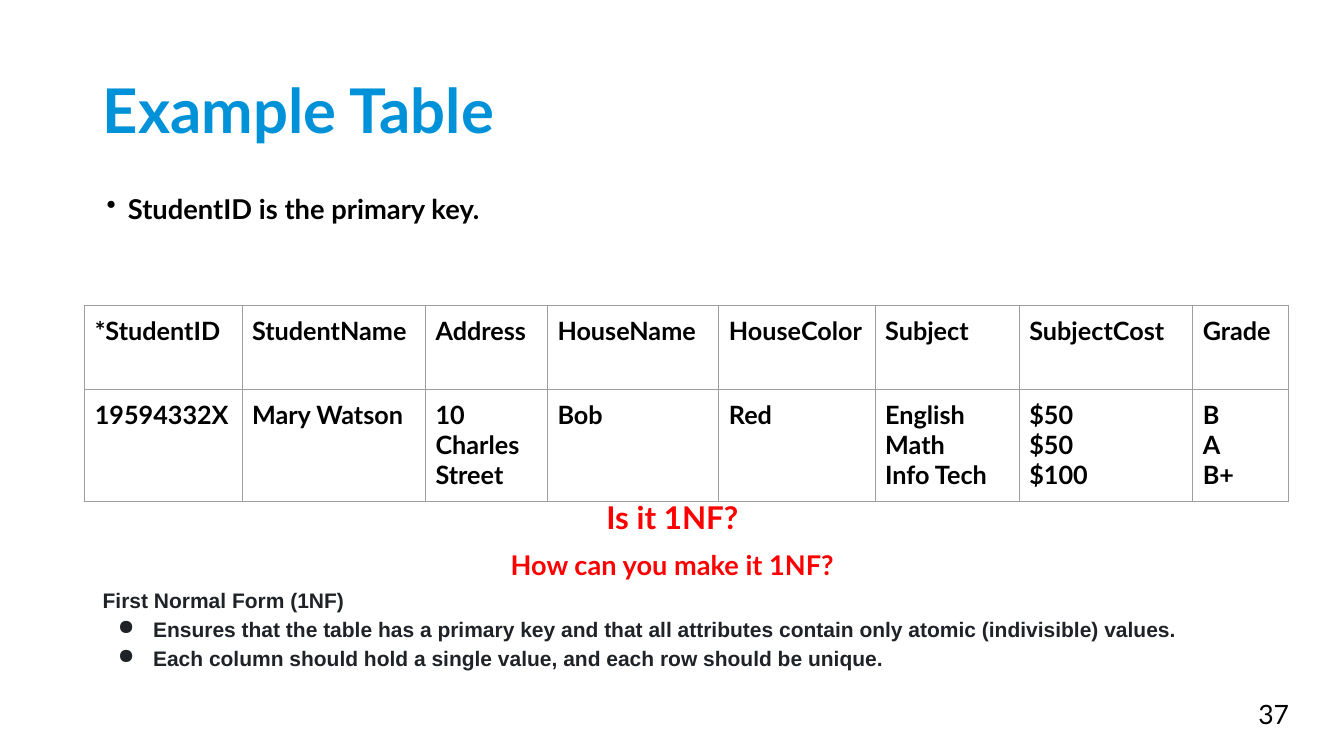
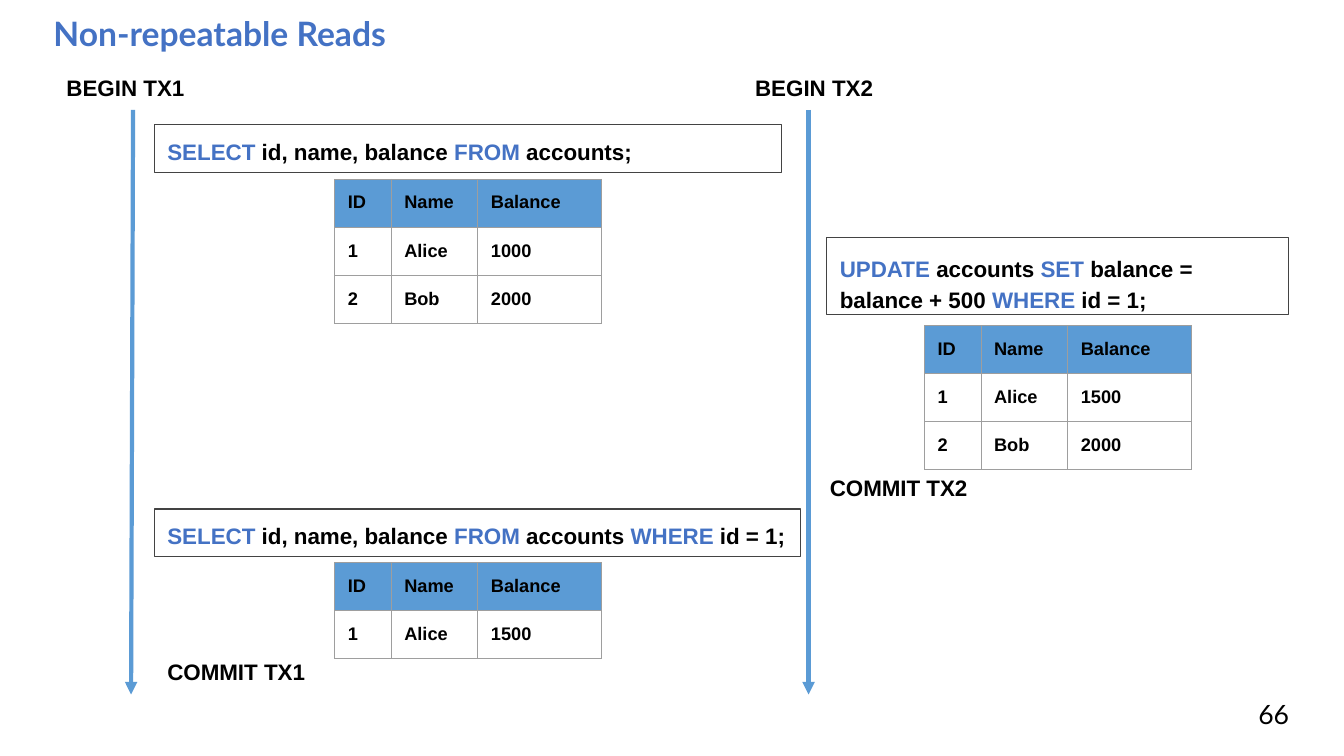
from dataclasses import dataclass
from itertools import groupby

from lxml.etree import SubElement
from pptx import Presentation
from pptx.dml.color import RGBColor
from pptx.enum.shapes import MSO_CONNECTOR, MSO_SHAPE
from pptx.enum.text import MSO_ANCHOR, MSO_AUTO_SIZE, PP_ALIGN
from pptx.oxml.ns import qn
from pptx.util import Inches, Pt


@dataclass(frozen=True)
class Theme:
    black: str = "000000"
    red: str = "FF0000"
    title: str = "0092D8"
    keyword: str = "4472C4"
    accent: str = "5B9BD5"
    note: str = "1F2328"
    outline: str = "434343"
    grid: str = "9E9E9E"
    heading: tuple = ("Lato", 44, True)
    small_heading: tuple = ("Lato", 24, True)
    question: tuple = ("Lato", 22.4, True)
    follow_up: tuple = ("Lato", 19.4, True)
    body: tuple = ("Lato", 19.5, True)
    record: tuple = ("Lato", 18, True)
    number: tuple = ("Lato", 19, False)
    code: tuple = ("Arial", 16, True)
    list_text: tuple = ("Arial", 15, True)
    account: tuple = ("Arial", 13, True)


T = Theme()
LEFT, CENTER = PP_ALIGN.LEFT, PP_ALIGN.CENTER
TOP, MIDDLE = MSO_ANCHOR.TOP, MSO_ANCHOR.MIDDLE


def write(box, paragraphs, pad=(0.13, 0.13), anchor=TOP):
    """Fill a text frame or table cell; a paragraph is (runs, style, format, bullet)."""
    for side, inset in zip(("left", "top", "right", "bottom"), pad * 2):
        setattr(box, f"margin_{side}", Inches(inset))
    box.vertical_anchor = anchor
    tf = getattr(box, "text_frame", box)
    tf.word_wrap = True
    for i, (runs, style, fmt, bullet) in enumerate(paragraphs):
        p = tf.add_paragraph() if i else tf.paragraphs[0]
        for name, value in {"alignment": LEFT, **fmt}.items():
            setattr(p, name, value)
        if bullet:
            char, margin, indent = bullet
            pPr = p._p.get_or_add_pPr()
            pPr.set("marL", str(Inches(margin)))
            pPr.set("indent", str(Inches(indent)))
            SubElement(pPr, qn("a:buChar"), char=char)
        for text, color in runs:
            r = p.add_run()
            r.text = text
            for name, value in zip(("name", "size", "bold"), (style[0], Pt(style[1]), style[2])):
                setattr(r.font, name, value)
            r.font.color.rgb = RGBColor.from_string(color)


def add_grid(s, left, top, widths, heights, rows, style, pad, header=None):
    """Add a table with thin grey borders and an optional header fill."""
    table = s.shapes.add_table(len(rows), len(widths), Inches(left), Inches(top),
                               Inches(sum(widths)), Inches(sum(heights))).table
    table.first_row = table.horz_banding = False
    for column, width in zip(table.columns, widths):
        column.width = Inches(width)
    for i, (row, height, values) in enumerate(zip(table.rows, heights, rows)):
        row.height = Inches(height)
        for cell, value in zip(row.cells, values):
            write(cell, [([(line, T.black)], style, {}, None) for line in value.split("\n")],
                  (pad, pad))
            tcPr = cell._tc.get_or_add_tcPr()
            for edge in ("a:lnL", "a:lnR", "a:lnT", "a:lnB"):
                ln = SubElement(tcPr, qn(edge), w=str(Pt(0.75)))
                SubElement(SubElement(ln, qn("a:solidFill")), qn("a:srgbClr"), val=T.grid)
            if header and i == 0:
                cell.fill.solid()
                cell.fill.fore_color.rgb = RGBColor.from_string(header)
            else:
                cell.fill.background()


prs = Presentation()
prs.slide_width, prs.slide_height = Inches(13.33), Inches(7.5)

# Titles and slide numbers
slides = []
for title, number, place, style, color, pad, anchor in (
    ("Example Table", "37", (0.92, 0.4, 11.5, 1.45), T.heading, T.title, (0.1, 0.05), MIDDLE),
    ("Non-repeatable Reads", "66", (0.4, 0, 4.58, 0.61), T.small_heading, T.keyword,
     (0.13, 0.13), TOP),
):
    s = prs.slides.add_slide(prs.slide_layouts[5])
    sp = s.shapes.title
    sp.left, sp.top, sp.width, sp.height = map(Inches, place)
    sp.text_frame.auto_size = MSO_AUTO_SIZE.NONE
    spacing = {"line_spacing": 0.9} if style == T.heading else {}
    write(sp.text_frame, [([(title, color)], style, spacing, None)], pad, anchor)
    sp = s.shapes.add_textbox(*map(Inches, (12.35, 6.8, 0.8, 0.57)))
    write(sp.text_frame, [([(number, T.black)], T.number, {}, None)], anchor=MIDDLE)
    slides.append(s)
example, reads = slides

# Example table: key statement, questions and definition
note = {"line_spacing": 1.15}
dot = ("●", 0.5, -0.35)
for top, height, paragraphs in (
    (1.95, 0.5, [([("StudentID is the primary key.", T.black)], T.body,
                  {"line_spacing": 0.7}, ("•", 0.25, -0.21))]),
    (4.92, 0.85, [
        ([("Is it 1NF?", T.red)], T.question, {"alignment": CENTER, "line_spacing": 0.95}, None),
        ([("How can you make it 1NF?", T.red)], T.follow_up,
         {"alignment": CENTER, "line_spacing": 0.95, "space_before": Pt(10)}, None)]),
    (5.74, 0.97, [
        ([("First Normal Form (1NF)", T.note)], T.list_text, note, None),
        ([("Ensures that the table has a primary key and that all attributes contain only "
           "atomic (indivisible) values.", T.note)], T.list_text, note, dot),
        ([("Each column should hold a single value, and each row should be unique.", T.note)],
         T.list_text, note, dot)]),
):
    sp = example.shapes.add_textbox(*map(Inches, (0.92, top, 11.5, height)))
    write(sp.text_frame, paragraphs, (0.1, 0.05))

# Example table: student record
add_grid(example, 0.84, 3.03, (1.56, 1.82, 1.21, 1.7, 1.55, 1.43, 1.72, 0.95), (0.83, 1.12), (
    ("*StudentID", "StudentName", "Address", "HouseName", "HouseColor", "Subject",
     "SubjectCost", "Grade"),
    ("19594332X", "Mary Watson", "10 Charles Street", "Bob", "Red",
     "English\nMath\nInfo Tech", "$50\n$50\n$100", "B\nA\nB+"),
), T.record, 0.1)

# Non-repeatable reads: transaction timelines
for x_begin, x_end in ((1.32, 1.3), (8.02, 8.02)):
    line = reads.shapes.add_connector(MSO_CONNECTOR.STRAIGHT, *map(
        Inches, (x_begin, 1.09, x_end, 6.89)))
    line.line.color.rgb = RGBColor.from_string(T.accent)
    line.line.width = Pt(3)
    SubElement(line.line._get_or_add_ln(), qn("a:tailEnd"), type="triangle")
    SubElement(line._element.spPr, qn("a:effectLst"))

# Begin and commit labels
for text, left, top, width in (
    ("BEGIN TX1", 0.53, 0.61, 1.63), ("COMMIT TX1", 1.53, 6.4, 1.93),
    ("BEGIN TX2", 7.36, 0.61, 1.63), ("COMMIT TX2", 8.1, 4.57, 4.05),
):
    sp = reads.shapes.add_textbox(*map(Inches, (left, top, width, 0.47)))
    write(sp.text_frame, [([(text, T.black)], T.code, {}, None)])

# SQL statements, with upper-case keywords in blue
for sql, place, spacing in (
    ("SELECT id, name, balance FROM accounts;", (1.53, 1.24, 6.22, 0.47), 1.0),
    ("UPDATE accounts SET balance = balance + 500 WHERE id = 1;", (8.2, 2.36, 4.58, 0.76), 1.15),
    ("SELECT id, name, balance FROM accounts WHERE id = 1;", (1.53, 5.05, 6.41, 0.47), 1.0),
):
    sp = reads.shapes.add_shape(MSO_SHAPE.RECTANGLE, *map(Inches, place))
    sp.shadow.inherit = False
    sp.fill.background()
    sp.line.color.rgb = RGBColor.from_string(T.outline)
    sp.line.width = Pt(0.75)
    words = [word + " " for word in sql.split()]
    words[-1] = words[-1].rstrip()
    runs = [("".join(group), T.keyword if is_keyword else T.black)
            for is_keyword, group in groupby(words, str.isupper)]
    write(sp.text_frame, [(runs, T.code, {"line_spacing": spacing}, None)])

# Account balances after each statement
bob = ("2", "Bob", "2000")
for left, top, records in (
    (3.32, 1.78, [("1", "Alice", "1000"), bob]),
    (9.17, 3.23, [("1", "Alice", "1500"), bob]),
    (3.32, 5.58, [("1", "Alice", "1500")]),
):
    rows = [("ID", "Name", "Balance"), *records]
    add_grid(reads, left, top, (0.56, 0.86, 1.23), [0.47] * len(rows), rows,
             T.account, 0.13, T.accent)

prs.save("out.pptx")
